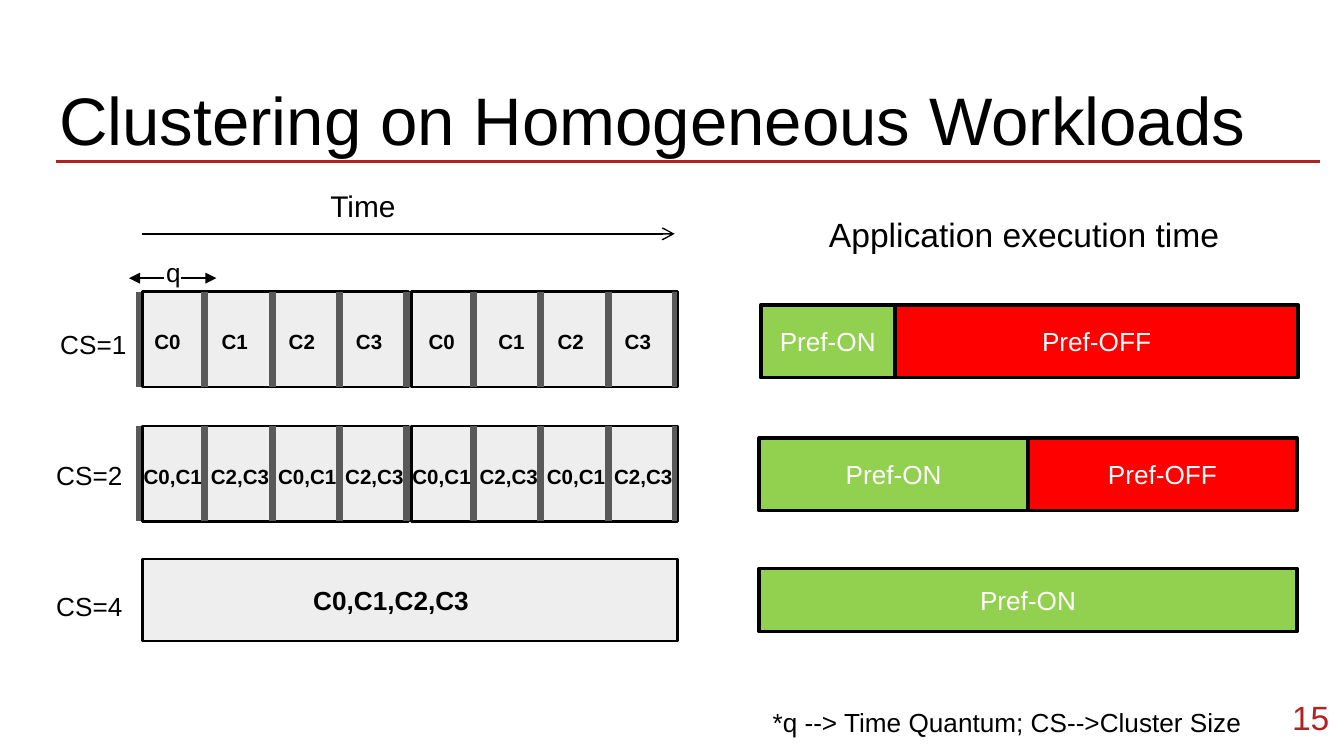
from lxml import etree
from pptx import Presentation
from pptx.dml.color import RGBColor
from pptx.enum.shapes import MSO_CONNECTOR, MSO_SHAPE
from pptx.enum.text import MSO_ANCHOR, MSO_AUTO_SIZE, PP_ALIGN
from pptx.oxml.ns import qn
from pptx.util import Inches, Pt

STRAIGHT = MSO_CONNECTOR.STRAIGHT
RECTANGLE = MSO_SHAPE.RECTANGLE
LEFT, CENTER, RIGHT = PP_ALIGN.LEFT, PP_ALIGN.CENTER, PP_ALIGN.RIGHT
TOP, MIDDLE = MSO_ANCHOR.TOP, MSO_ANCHOR.MIDDLE
NO_FIT = MSO_AUTO_SIZE.NONE

THEME = {
    "font": "Arial",
    "black": "000000", "white": "FFFFFF", "accent": "B22222",
    "bar": "EEEEEE", "tick": "595959", "on": "92D050", "off": "FF0000",
    "title": 36, "heading": 18, "axis": 16, "body": 14, "cell": 11,
    "thin": 0.75, "outline": 1.5, "execution outline": 2, "tick width": 3,
}

TITLE = "Clustering on Homogeneous Workloads"
# text, (left, top, width, height), format
CAPTIONS = [
    ("15", (9.29, 5.12, 0.7, 0.43),
     {"size": "heading", "ink": "accent", "align": RIGHT, "anchor": MIDDLE}),
    ("q", (1.02, 1.81, 0.54, 0.44), {"align": CENTER}),
    ("CS=1", (0.35, 2.34, 0.7, 0.44), {}),
    ("CS=2", (0.32, 3.32, 0.7, 0.44), {}),
    ("CS=4", (0.32, 4.29, 0.7, 0.43), {}),
    ("C0,C1,C2,C3", (0.97, 4.25, 3.88, 0.43), {"align": CENTER, "bold": True}),
    ("Time", (2.36, 1.35, 1.21, 0.37), {"size": "axis", "inset": 0.05}),
    ("*q --> Time Quantum; CS-->Cluster Size", (5.65, 5.21, 3.85, 0.34), {"inset": 0.05}),
    ("Application execution time", (5.52, 1.54, 4.2, 0.4),
     {"size": "heading", "align": CENTER, "inset": 0.05}),
]
# start, end, arrowhead at the end
ARROWS = [
    ((1.22, 2.07), (0.96, 2.07), "triangle"),
    ((1.35, 2.07), (1.61, 2.07), "triangle"),
    ((1.06, 1.74), (5.02, 1.74), "arrow"),
]
# top of the row, quantum labels, left of each label
TIMELINES = [
    (2.17, ["C0", "C1", "C2", "C3"] * 2,
     [1.05, 1.55, 2.05, 2.55, 3.09, 3.61, 4.05, 4.55]),
    (3.17, ["C0,C1", "C2,C3"] * 4, [0.97 + 0.5 * step for step in range(8)]),
]
# left, top, height, quanta with the prefetcher (on, off)
EXECUTIONS = [
    (5.66, 2.27, 0.54, (1, 3)),
    (5.65, 3.26, 0.54, (2, 2)),
    (5.65, 4.23, 0.47, (4, 0)),
]
QUANTUM, QUANTA_PER_BAR = 0.5, 4
BAR_LEFT, BAR_WIDTH, BAR_HEIGHT = 1.06, 1.98, 0.71


def color(name):
    return RGBColor.from_string(THEME[name])


def write(shape, text, size="body", ink="black", bold=False,
          align=LEFT, anchor=TOP, inset=0.1):
    frame = shape.text_frame
    settings = {
        "word_wrap": True, "auto_size": NO_FIT, "vertical_anchor": anchor,
        "margin_left": Inches(0.1), "margin_right": Inches(0.1),
        "margin_top": Inches(inset), "margin_bottom": Inches(inset),
    }
    for name, value in settings.items():
        setattr(frame, name, value)
    para = frame.paragraphs[0]
    para.alignment = align
    span = para.add_run()
    span.text = text
    for name, value in {"name": THEME["font"], "size": Pt(THEME[size]), "bold": bold}.items():
        setattr(span.font, name, value)
    span.font.color.rgb = color(ink)


def add_text(slide, text, place, **style):
    write(slide.shapes.add_textbox(*map(Inches, place)), text, **style)


def add_rectangle(slide, place, fill, outline="outline"):
    box = slide.shapes.add_shape(RECTANGLE, *map(Inches, place))
    box.shadow.inherit = False
    box.fill.solid()
    box.fill.fore_color.rgb = color(fill)
    box.line.color.rgb = color("black")
    box.line.width = Pt(THEME[outline])
    return box


def add_line(slide, start, end, stroke="black", width="thin", head=None):
    connector = slide.shapes.add_connector(STRAIGHT, *map(Inches, start + end))
    connector.line.color.rgb = color(stroke)
    connector.line.width = Pt(THEME[width])
    properties = connector._element.spPr
    if head:
        etree.SubElement(properties.find(qn("a:ln")), qn("a:tailEnd"), type=head)
    etree.SubElement(properties, qn("a:effectLst"))


def add_timeline(slide, top, labels, label_lefts):
    """Two bars of four quanta, each quantum closed by a tick on both sides."""
    for bar in range(2):
        left = BAR_LEFT + bar * QUANTUM * QUANTA_PER_BAR
        add_rectangle(slide, (left, top, BAR_WIDTH, BAR_HEIGHT), "bar")
        for step in range(QUANTA_PER_BAR):
            opening = left - 0.03 + step * QUANTUM
            for x in (opening + QUANTUM - 0.01, opening):
                add_line(slide, (x, top), (x, top + BAR_HEIGHT), "tick", "tick width")
    for label, left in zip(labels, label_lefts):
        add_text(slide, label, (left, top + 0.18, 0.71, 0.39), size="cell", bold=True)


def add_execution(slide, left, top, height, quanta):
    for label, fill, width in zip(("Pref-ON", "Pref-OFF"), ("on", "off"), quanta):
        if width:
            box = add_rectangle(slide, (left, top, width, height), fill, "execution outline")
            write(box, label, ink="white", align=CENTER, anchor=MIDDLE, inset=0.05)
        left += width


def main():
    deck = Presentation()
    deck.slide_width = Inches(10)
    deck.slide_height = deck.slide_width * 9 // 16
    slide = deck.slides.add_slide(deck.slide_layouts[5])

    add_line(slide, (0.42, 1.2), (9.82, 1.2), "accent", "outline")
    title = slide.shapes.title
    title.left, title.top, title.width, title.height = map(Inches, (0.34, 0.48, 9.32, 0.63))
    write(title, TITLE, size="title")

    for timeline in TIMELINES:
        add_timeline(slide, *timeline)
    add_rectangle(slide, (BAR_LEFT, 4.16, 3.98, 0.61), "bar")
    for execution in EXECUTIONS:
        add_execution(slide, *execution)
    for start, end, head in ARROWS:
        add_line(slide, start, end, head=head)
    for text, place, style in CAPTIONS:
        add_text(slide, text, place, **style)

    deck.save("out.pptx")


if __name__ == "__main__":
    main()
